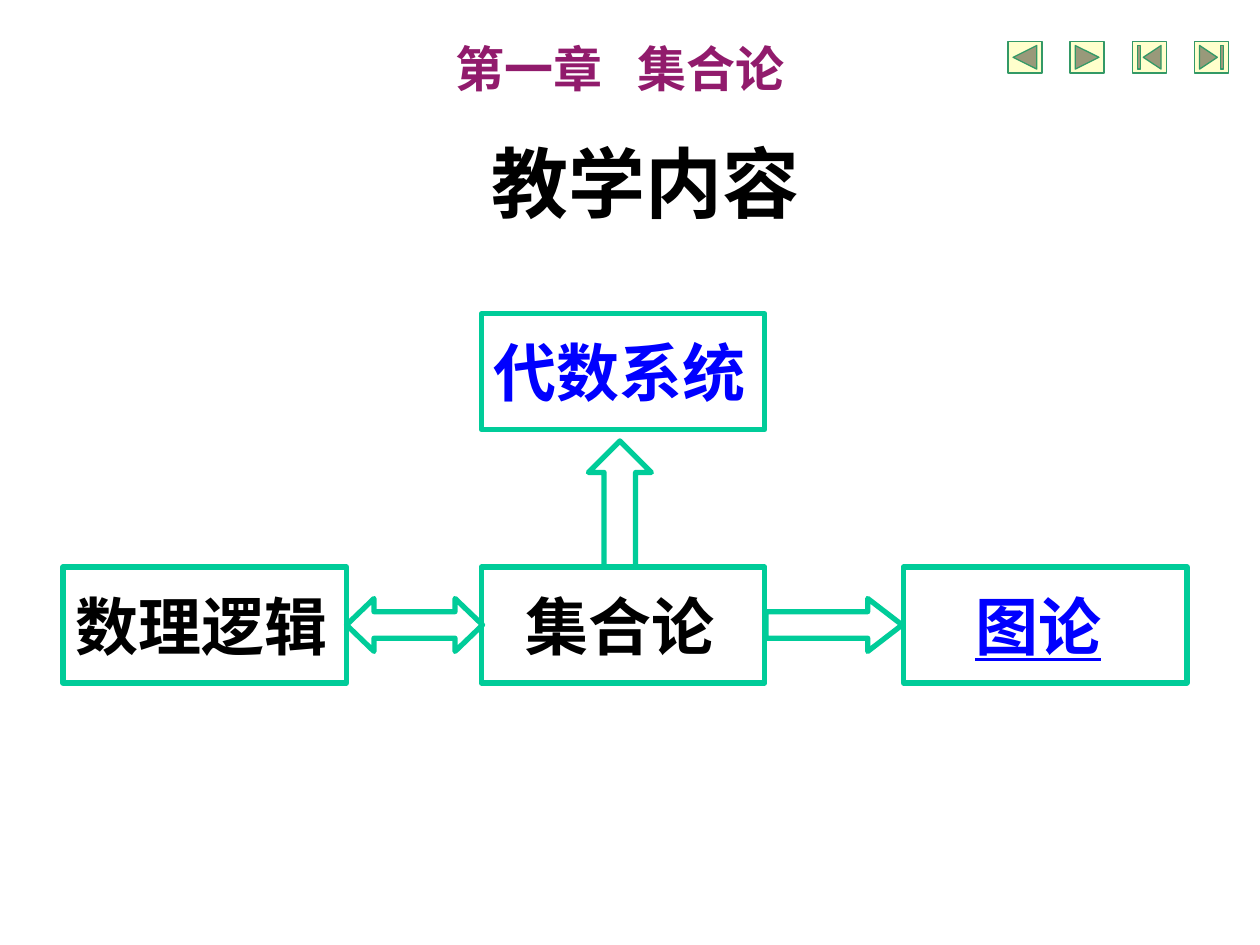
"""Build the course content slide: set theory and its related subjects."""
from dataclasses import dataclass

from lxml import etree
from pptx import Presentation
from pptx.dml.color import RGBColor
from pptx.enum import shapes, text
from pptx.oxml import ns
from pptx.util import Inches, Pt

PRESET = shapes.MSO_SHAPE


@dataclass(frozen=True)
class Theme:
    """Colours, fonts and sizes of the slide."""
    black: str = "000000"
    blue: str = "0000FF"
    purple: str = "911B6C"
    outline: str = "00CC99"
    button_fill: str = "FFFFCC"
    button_line: str = "339966"
    latin: str = "Times New Roman"
    chinese: str = "Noto Sans CJK SC"
    chapter_size: int = 28
    title_size: int = 44
    box_size: int = 36
    outline_width: float = 3
    button_width: float = 0.75


@dataclass(frozen=True)
class Subject:
    """A subject box with its text indent."""
    name: str
    left: float
    top: float
    color: str
    indent: float = 0
    underline: bool = False


@dataclass(frozen=True)
class Arrow:
    """A block arrow between two subjects."""
    preset: PRESET
    left: float
    top: float
    width: float
    height: float
    head: float


THEME = Theme()
BOX_WIDTH, BOX_HEIGHT = 2.25, 0.92
CENTER_LEFT, LOWER_TOP = 3.82, 4.5
BUTTON_LEFT, BUTTON_SPAN = 8.0, 1.48

SUBJECTS = [
    Subject("集合论", CENTER_LEFT, LOWER_TOP, THEME.black, indent=0.25),
    Subject("数理逻辑", 0.5, LOWER_TOP, THEME.black),
    Subject("图论", 7.17, LOWER_TOP, THEME.blue, indent=0.47, underline=True),
    Subject("代数系统", CENTER_LEFT, 2.49, THEME.blue),
]
ARROWS = [
    Arrow(PRESET.RIGHT_ARROW, 6.08, 4.75, 1.08, 0.42, 0.65),
    Arrow(PRESET.UP_ARROW, 4.67, 3.5, 0.5, 1, 0.5),
    Arrow(PRESET.LEFT_RIGHT_ARROW, 2.75, 4.75, 1.08, 0.42, 0.52),
]
BUTTONS = [
    PRESET.ACTION_BUTTON_BACK_OR_PREVIOUS,
    PRESET.ACTION_BUTTON_FORWARD_OR_NEXT,
    PRESET.ACTION_BUTTON_BEGINNING,
    PRESET.ACTION_BUTTON_END,
]


def format_paragraph(paragraph, size: int, color: str, latin: str, underline: bool = False) -> None:
    """Give a paragraph its bold font and colour."""
    font = paragraph.font
    font.size, font.bold, font.name = Pt(size), True, latin
    font.color.rgb = RGBColor.from_string(color)
    if underline:
        font.underline = True
    properties = paragraph._p.pPr.find(ns.qn("a:defRPr"))
    etree.SubElement(properties, ns.qn("a:ea"), typeface=THEME.chinese)


def add_outlined(slide, preset: PRESET, left: float, top: float, width: float, height: float,
                 color: str = THEME.outline, line_width: float = THEME.outline_width):
    """Add an unfilled preset shape with a coloured line."""
    shape = slide.shapes.add_shape(preset, Inches(left), Inches(top), Inches(width), Inches(height))
    shape.shadow.inherit = False
    shape.fill.background()
    shape.line.color.rgb = RGBColor.from_string(color)
    shape.line.width = Pt(line_width)
    return shape


def add_buttons(slide) -> None:
    """Add the evenly spaced navigation buttons."""
    pitch = BUTTON_SPAN / (len(BUTTONS) - 1)
    for index, preset in enumerate(BUTTONS):
        button = add_outlined(slide, preset, BUTTON_LEFT + index * pitch, 0.33, 0.27, 0.25,
                              THEME.button_line, THEME.button_width)
        button.fill.solid()
        button.fill.fore_color.rgb = RGBColor.from_string(THEME.button_fill)


def add_chapter(slide) -> None:
    """Add the chapter heading with a tab between number and name."""
    box = slide.shapes.add_textbox(Inches(3.52), Inches(0.26), Inches(4.15), Inches(0.57))
    box.text_frame.word_wrap = True
    paragraph = box.text_frame.paragraphs[0]
    paragraph.text = "第一章\t集合论"
    properties = paragraph._p.get_or_add_pPr()
    stops = etree.SubElement(properties, ns.qn("a:tabLst"))
    etree.SubElement(stops, ns.qn("a:tab"), pos=str(Inches(1.44)), algn="l")
    format_paragraph(paragraph, THEME.chapter_size, THEME.purple, THEME.latin)


def set_title(slide) -> None:
    """Place and format the slide title."""
    title = slide.shapes.title
    title.left, title.top = Inches(0.79), Inches(1.11)
    title.width, title.height = Inches(8.67), Inches(0.75)
    frame = title.text_frame
    frame.text = "教学内容"
    frame.auto_size = text.MSO_AUTO_SIZE.NONE
    frame.vertical_anchor = text.MSO_ANCHOR.BOTTOM
    paragraph = frame.paragraphs[0]
    paragraph.alignment = text.PP_ALIGN.CENTER
    format_paragraph(paragraph, THEME.title_size, THEME.black, THEME.chinese)


def add_subject(slide, subject: Subject) -> None:
    """Add one subject box."""
    shape = add_outlined(slide, PRESET.RECTANGLE, subject.left, subject.top, BOX_WIDTH, BOX_HEIGHT)
    frame = shape.text_frame
    frame.text = subject.name
    frame.word_wrap = True
    frame.margin_left = Inches(0.1 + subject.indent)
    frame.vertical_anchor = text.MSO_ANCHOR.MIDDLE
    paragraph = frame.paragraphs[0]
    paragraph.alignment = text.PP_ALIGN.LEFT
    format_paragraph(paragraph, THEME.box_size, subject.color, THEME.latin, subject.underline)


def add_arrow(slide, arrow: Arrow) -> None:
    """Add one block arrow."""
    shape = add_outlined(slide, arrow.preset, arrow.left, arrow.top, arrow.width, arrow.height)
    shape.adjustments[0] = 0.5
    shape.adjustments[1] = arrow.head


def main() -> None:
    """Build and save the slide."""
    presentation = Presentation()
    presentation.slide_width, presentation.slide_height = Inches(10), Inches(7.5)
    slide = presentation.slides.add_slide(presentation.slide_layouts[5])
    add_buttons(slide)
    add_chapter(slide)
    set_title(slide)
    for subject in SUBJECTS:
        add_subject(slide, subject)
    for arrow in ARROWS:
        add_arrow(slide, arrow)
    presentation.save("out.pptx")


if __name__ == "__main__":
    main()
